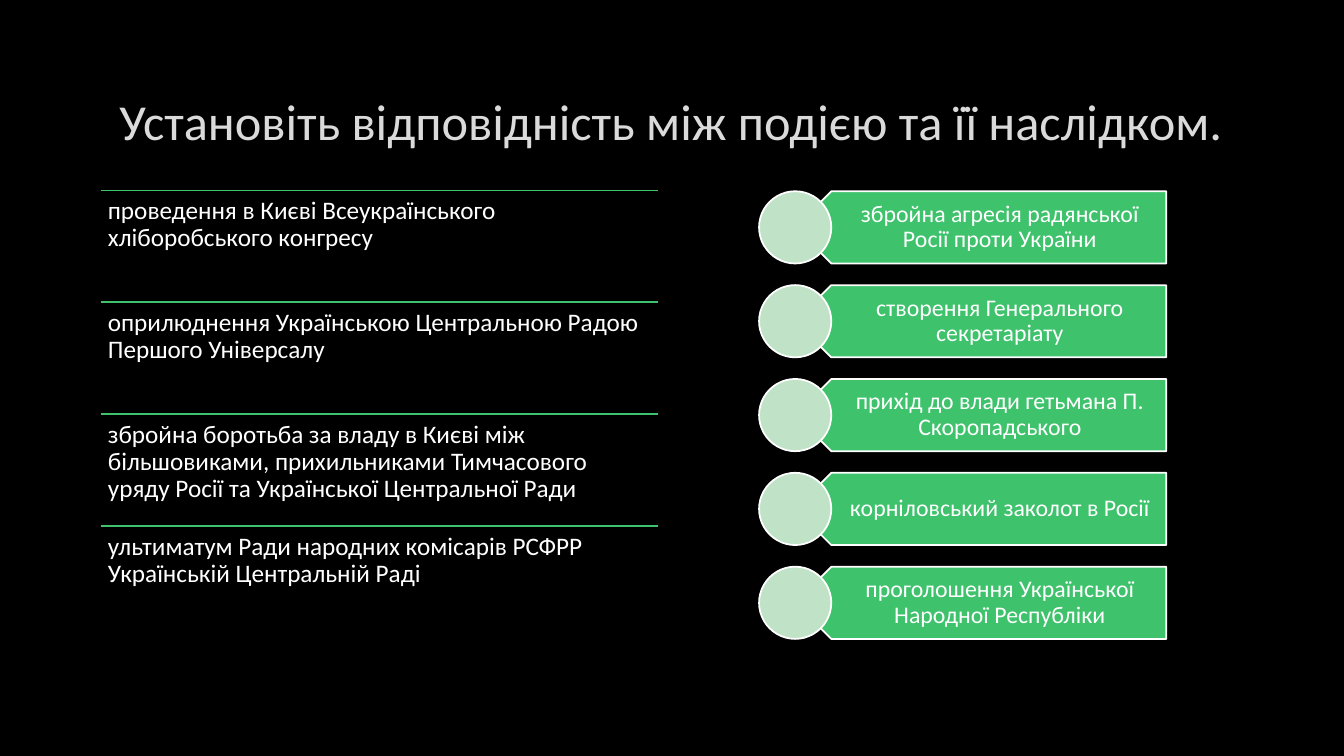
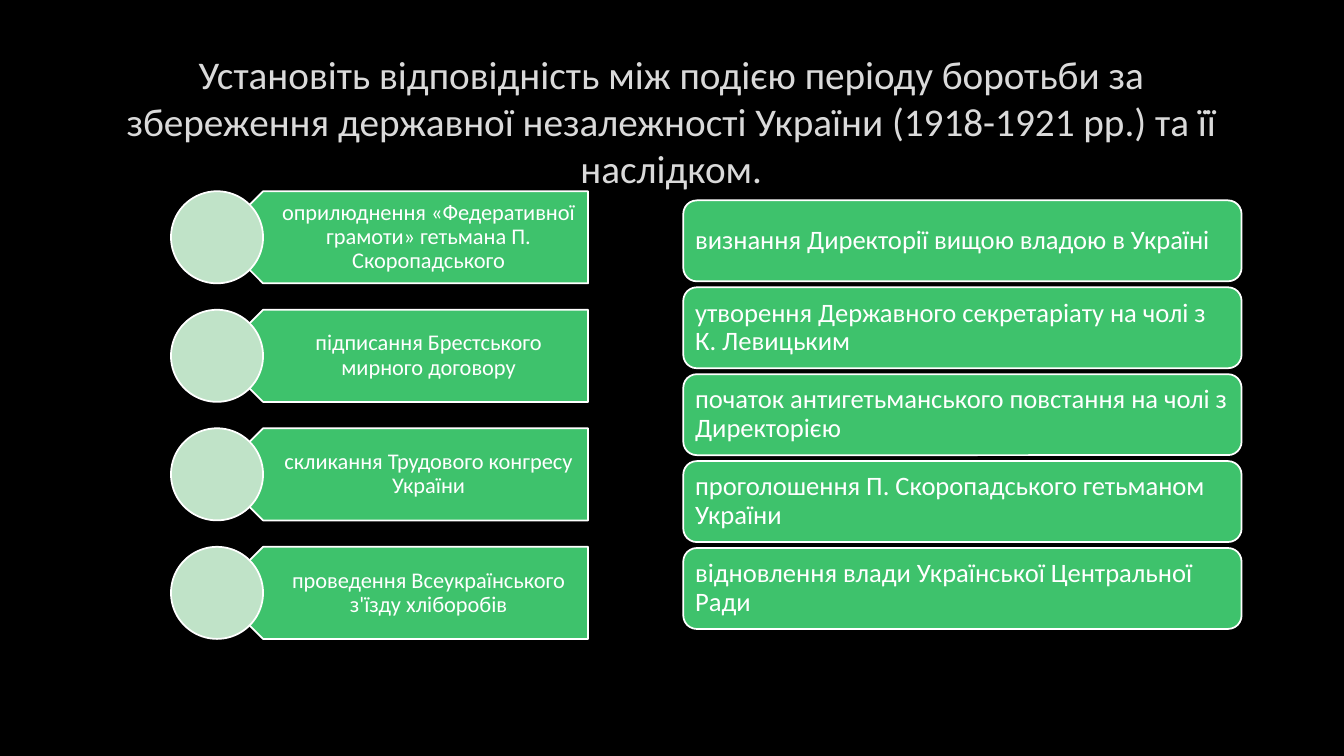
"""Build two matching-exercise slides on the Ukrainian Revolution."""
from lxml import etree
from pptx import Presentation
from pptx.dml.color import RGBColor
from pptx.enum.shapes import MSO_CONNECTOR, MSO_SHAPE
from pptx.enum.text import MSO_ANCHOR, PP_ALIGN
from pptx.oxml.ns import qn
from pptx.util import Cm, Pt

LEFT, CENTER = PP_ALIGN.LEFT, PP_ALIGN.CENTER
TOP, MIDDLE = MSO_ANCHOR.TOP, MSO_ANCHOR.MIDDLE
PENTAGON, OVAL, ROUNDED = MSO_SHAPE.PENTAGON, MSO_SHAPE.OVAL, MSO_SHAPE.ROUNDED_RECTANGLE
STRAIGHT = MSO_CONNECTOR.STRAIGHT

FONT = "Calibri"
COLORS = {
    "background": "000000",
    "title": "DADADA",
    "text": "FFFFFF",
    "accent": "3EC26C",
    "circle": "C0E3C8",
}
LINE_WIDTH = Pt(1.25)
TITLE_BOX = (2.54, 1.7, 28.75, 2.69)
ARROWS_TOP, ARROWS_BOTTOM, ARROW_WIDTH = 4.82, 16.1, 9.35

EVENTS_TITLE = "Установіть відповідність між подією та її наслідком."
EVENTS = [
    "проведення в Києві Всеукраїнського хліборобського конгресу",
    "оприлюднення Українською Центральною Радою Першого Універсалу",
    "збройна боротьба за владу в Києві між більшовиками, прихильниками "
    "Тимчасового уряду Росії та Української Центральної Ради",
    "ультиматум Ради народних комісарів РСФРР Українській Центральній Раді",
]
EVENT_RESULTS = [
    "збройна агресія радянської Росії проти України",
    "створення Генерального секретаріату",
    "прихід до влади гетьмана П. Скоропадського",
    "корніловський заколот в Росії",
    "проголошення Української Народної Республіки",
]
STRUGGLE_TITLE = (
    "Установіть відповідність між подією періоду боротьби за збереження "
    "державної незалежності України (1918-1921 рр.) та її наслідком."
)
STRUGGLE_EVENTS = [
    "оприлюднення «Федеративної грамоти» гетьмана П. Скоропадського",
    "підписання Брестського мирного договору",
    "скликання Трудового конгресу України",
    "проведення Всеукраїнського з'їзду хліборобів",
]
STRUGGLE_RESULTS = [
    "визнання Директорії вищою владою в Україні",
    "утворення Державного секретаріату на чолі з К. Левицьким",
    "початок антигетьманського повстання на чолі з Директорією",
    "проголошення П. Скоропадського гетьманом України",
    "відновлення влади Української Центральної Ради",
]


def rgb(name):
    return RGBColor.from_string(COLORS[name])


def write(shape, text, size, color="text", align=LEFT, anchor=MIDDLE,
          spacing=0.9, insets=(0.18, 0.18, 0.18, 0.18)):
    frame = shape.text_frame
    frame.word_wrap = True
    frame.vertical_anchor = anchor
    (frame.margin_left, frame.margin_top,
     frame.margin_right, frame.margin_bottom) = map(Cm, insets)
    paragraph = frame.paragraphs[0]
    paragraph.alignment = align
    paragraph.line_spacing = spacing
    run = paragraph.add_run()
    run.text = text
    run.font.name = FONT
    run.font.size = Pt(size)
    run.font.color.rgb = rgb(color)


def add_text(slide, box, text, size, **style):
    write(slide.shapes.add_textbox(*map(Cm, box)), text, size, **style)


def add_panel(slide, kind, box, fill="accent"):
    panel = slide.shapes.add_shape(kind, *map(Cm, box))
    panel.shadow.inherit = False
    panel.fill.solid()
    panel.fill.fore_color.rgb = rgb(fill)
    panel.line.color.rgb = rgb("text")
    panel.line.width = LINE_WIDTH
    return panel


def add_ruled_list(slide, items, left=2.54, top=4.8, width=14.05, step=2.82):
    for row, item in enumerate(items):
        y = top + row * step
        rule = slide.shapes.add_connector(
            STRAIGHT, Cm(left), Cm(y), Cm(left + width), Cm(y))
        rule.line.color.rgb = rgb("accent")
        rule.line.width = LINE_WIDTH
        etree.SubElement(rule._element.spPr, qn("a:effectLst"))
        add_text(slide, (left, y, width, step), item, 18, anchor=TOP)


def add_arrow_list(slide, items, left, height, size):
    step = (ARROWS_BOTTOM - ARROWS_TOP - height) / (len(items) - 1)
    arrow_left = left + height / 2
    notch = height / 4
    insets = (0.45 * height, 0.18, 0.31, 0.18)
    for row, item in enumerate(items):
        y = ARROWS_TOP + row * step
        arrow = add_panel(slide, PENTAGON, (arrow_left, y, ARROW_WIDTH, height))
        arrow.rotation = 180
        add_text(slide, (arrow_left + notch, y, ARROW_WIDTH - notch, height),
                 item, size, align=CENTER, insets=insets)
        add_panel(slide, OVAL, (left, y, height, height), fill="circle")


def add_card_list(slide, items, left=17.22, top=5.05, width=14.07, height=2.04, step=2.19):
    for row, item in enumerate(items):
        card = add_panel(slide, ROUNDED, (left, top + row * step, width, height))
        write(card, item, 19, insets=(0.2, 0.2, 0.2, 0.2))


def add_titled_slide(deck, title, size):
    slide = deck.slides.add_slide(deck.slide_layouts[6])
    add_text(slide, TITLE_BOX, title, size, color="title", align=CENTER,
             spacing=1.0, insets=(0.25, 0.13, 0.25, 0.13))
    return slide


def main():
    deck = Presentation()
    deck.slide_width, deck.slide_height = Cm(33.87), Cm(19.05)
    backdrop = deck.slide_master.background.fill
    backdrop.solid()
    backdrop.fore_color.rgb = rgb("background")

    events = add_titled_slide(deck, EVENTS_TITLE, 36)
    add_ruled_list(events, EVENTS)
    add_arrow_list(events, EVENT_RESULTS, left=19.13, height=1.82, size=17)

    struggle = add_titled_slide(deck, STRUGGLE_TITLE, 28)
    add_arrow_list(struggle, STRUGGLE_EVENTS, left=4.31, height=2.32, size=16)
    add_card_list(struggle, STRUGGLE_RESULTS)

    deck.save("out.pptx")


if __name__ == "__main__":
    main()
